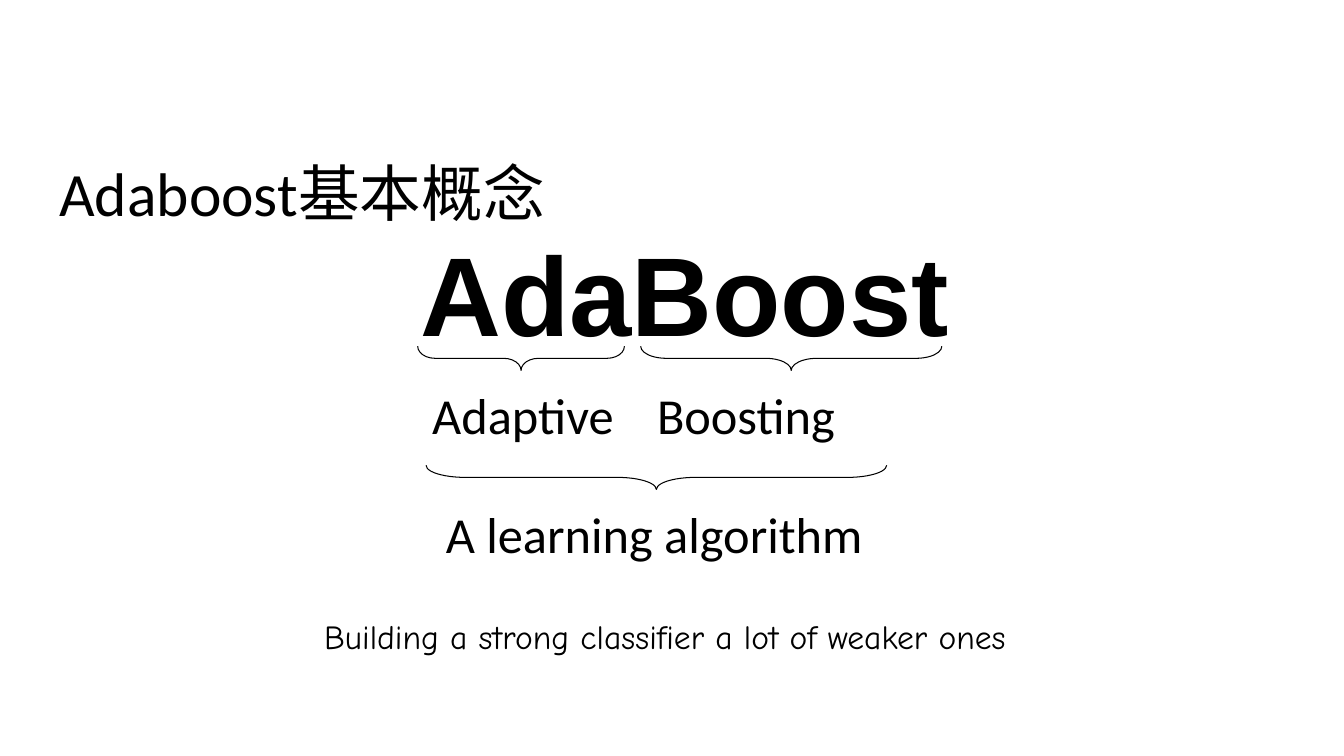
from dataclasses import dataclass

from pptx import Presentation
from pptx.dml.color import RGBColor
from pptx.enum.shapes import MSO_SHAPE
from pptx.enum.text import MSO_ANCHOR, MSO_AUTO_SIZE, PP_ALIGN
from pptx.slide import Slide
from pptx.text.text import TextFrame
from pptx.util import Cm, Pt


@dataclass(frozen=True)
class TextStyle:
    font: str
    size: int
    bold: bool = False


@dataclass(frozen=True)
class Theme:
    ink: RGBColor = RGBColor(0, 0, 0)
    title: TextStyle = TextStyle("Calibri", 44)
    name: TextStyle = TextStyle("Arial", 80, True)
    label: TextStyle = TextStyle("Calibri", 36)
    summary: TextStyle = TextStyle("Comic Neue", 24)
    brace_line: float = 0.75


@dataclass(frozen=True)
class Box:
    """A rectangle in centimetres."""
    left: float
    top: float
    width: float
    height: float


@dataclass(frozen=True)
class BracedLabel:
    """A downward brace and the label below it, placed by their centres in cm."""
    text: str
    brace_x: float
    brace_y: float
    span: float
    curve: float
    label_x: float


THEME = Theme()
BRACE_DEPTH = 0.61
LABEL_DROP = 1.42
LABEL_HEIGHT = 1.8

BRACED_LABELS = (
    BracedLabel("Adaptive", 13.13, 9.03, 5.21, 0.72, 13.18),
    BracedLabel("Boosting", 19.94, 9.03, 7.59, 1.06, 18.8),
    BracedLabel("A learning algorithm", 16.54, 12.03, 11.61, 1.61, 16.49),
)


def write(frame: TextFrame, text: str, style: TextStyle, align: PP_ALIGN) -> None:
    para = frame.paragraphs[0]
    para.alignment = align
    span = para.add_run()
    span.text = text
    span.font.name = style.font
    span.font.size = Pt(style.size)
    span.font.bold = style.bold
    span.font.color.rgb = THEME.ink


def add_title(page: Slide, text: str, box: Box) -> None:
    title = page.shapes.title
    title.left, title.top = Cm(box.left), Cm(box.top)
    title.width, title.height = Cm(box.width), Cm(box.height)
    frame = title.text_frame
    frame.auto_size = MSO_AUTO_SIZE.NONE
    frame.vertical_anchor = MSO_ANCHOR.MIDDLE
    write(frame, text, THEME.title, PP_ALIGN.LEFT)
    frame.paragraphs[0].line_spacing = 0.9


def add_text(page: Slide, text: str, box: Box, style: TextStyle,
             align: PP_ALIGN = PP_ALIGN.LEFT,
             anchor: MSO_ANCHOR = MSO_ANCHOR.TOP) -> None:
    frame = page.shapes.add_textbox(
        Cm(box.left), Cm(box.top), Cm(box.width), Cm(box.height)).text_frame
    frame.word_wrap = False
    frame.vertical_anchor = anchor
    write(frame, text, style, align)


def add_braced_label(page: Slide, item: BracedLabel) -> None:
    brace = page.shapes.add_shape(
        MSO_SHAPE.RIGHT_BRACE,
        Cm(item.brace_x - BRACE_DEPTH / 2), Cm(item.brace_y - item.span / 2),
        Cm(BRACE_DEPTH), Cm(item.span))
    brace.rotation = 90
    brace.adjustments[0] = item.curve
    brace.shadow.inherit = False
    brace.fill.background()
    brace.line.color.rgb = THEME.ink
    brace.line.width = Pt(THEME.brace_line)

    label_y = item.brace_y + LABEL_DROP
    label_box = Box(item.label_x - item.span / 2, label_y - LABEL_HEIGHT / 2,
                    item.span, LABEL_HEIGHT)
    add_text(page, item.text, label_box, THEME.label,
             PP_ALIGN.CENTER, MSO_ANCHOR.MIDDLE)


def main() -> None:
    deck = Presentation()
    deck.slide_width, deck.slide_height = Cm(33.87), Cm(19.05)
    page = deck.slides.add_slide(deck.slide_layouts.get_by_name("Title Only"))

    add_title(page, "Adaboost基本概念", Box(1.24, 3.12, 29.21, 3.68))
    add_text(page, "AdaBoost", Box(10.34, 5.54, 13.84, 3.63), THEME.name)
    for item in BRACED_LABELS:
        add_braced_label(page, item)
    add_text(page, "Building a strong classifier a lot of weaker ones",
             Box(7.92, 15.39, 19.43, 1.27), THEME.summary)

    deck.save("out.pptx")


if __name__ == "__main__":
    main()
